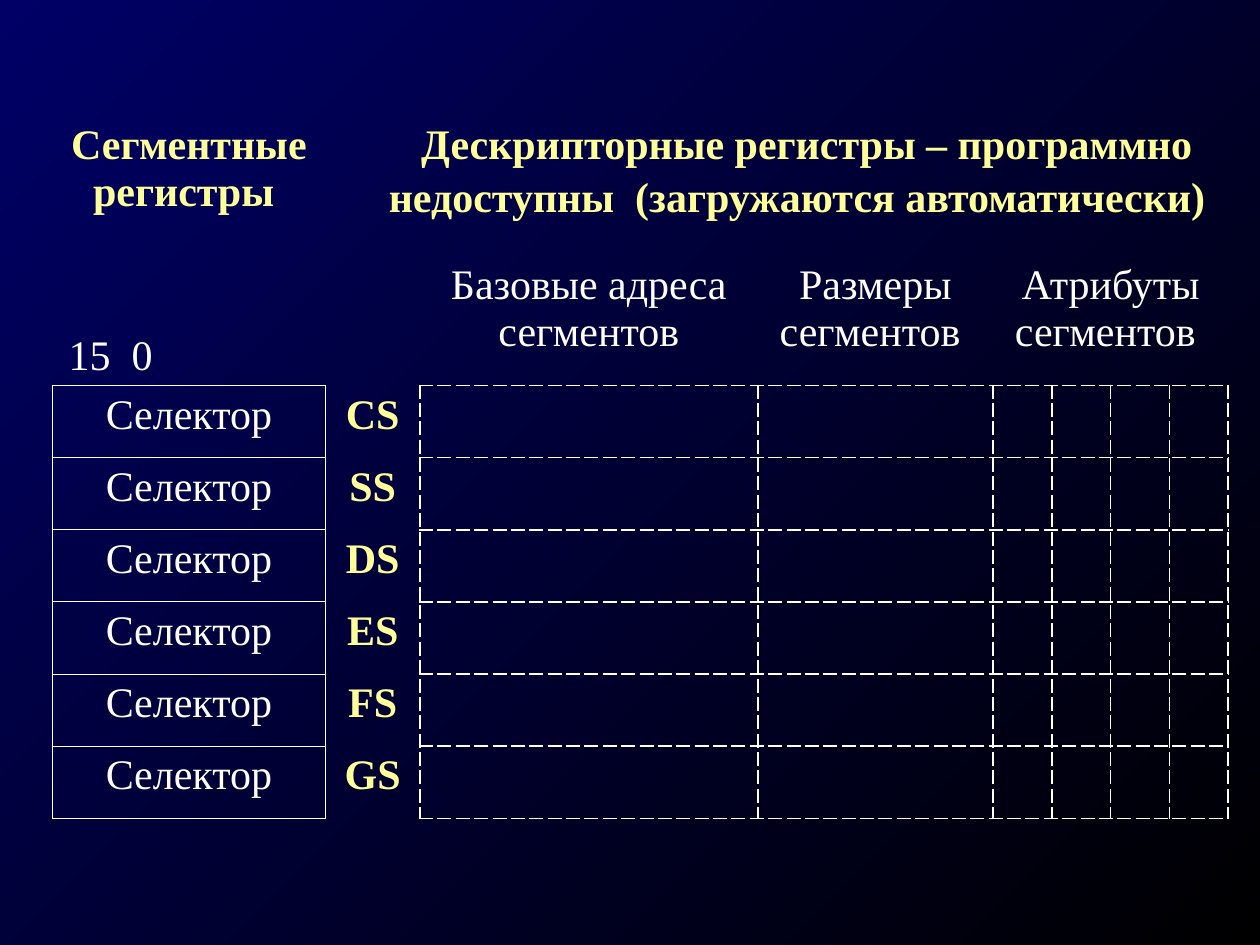
from lxml.etree import SubElement
from pptx import Presentation
from pptx.dml.color import RGBColor
from pptx.enum.text import MSO_ANCHOR as ANCHOR, PP_ALIGN as ALIGN
from pptx.oxml.ns import qn
from pptx.util import Pt

WHITE, YELLOW = "FFFFFF", "FFFF99"
SOLID, DASHED = (0.75, "solid"), (1.08, "dash")
REGISTERS = ["CS", "SS", "DS", "ES", "FS", "GS"]
COLUMNS = [156, 54, 193, 134.5] + [33.6] * 4
ROWS = [80, 74] + [41.25] * len(REGISTERS)
FIRST = 2


def rgb(value):
    """Turn a hex string into a colour."""
    return RGBColor.from_string(value)


def write(p, text, color=WHITE, bold=False, align=ALIGN.CENTER, before=6):
    """Write one run into a paragraph and format both."""
    p.alignment = align
    p.space_before = Pt(before)
    r = p.add_run()
    r.text = text
    r.font.name = "Times New Roman"
    r.font.size = Pt(24)
    r.font.bold = bold
    r.font.color.rgb = rgb(color)


def indent(p, left, right_tab=None):
    """Indent a paragraph and give it a right-aligned tab stop if wanted."""
    pPr = p._p.get_or_add_pPr()
    pPr.set("marL", str(Pt(left)))
    pPr.set("indent", "0")
    if right_tab:
        tabs = SubElement(pPr, qn("a:tabLst"))
        SubElement(tabs, qn("a:tab"), pos=str(Pt(right_tab)), algn="r")


def cell_borders(row, col):
    """Return the line style of the left, right, top and bottom sides."""
    if row < FIRST:
        below = SOLID if col == 0 else DASHED if col > 1 else None
        return None, None, None, below if row == FIRST - 1 else None
    if col == 0:
        return (SOLID,) * 4
    if col == 1:
        return SOLID, DASHED, None, None
    return (DASHED,) * 4


def set_borders(cell, styles):
    """Draw the four sides of a cell, leaving out those without a style."""
    tcPr = cell._tc.get_or_add_tcPr()
    for side, style in zip("LRTB", styles):
        ln = SubElement(tcPr, qn(f"a:ln{side}"))
        if style is None:
            SubElement(ln, qn("a:noFill"))
            continue
        width, dash = style
        ln.set("w", str(Pt(width)))
        fill = SubElement(ln, qn("a:solidFill"))
        SubElement(fill, qn("a:srgbClr"), val=WHITE)
        SubElement(ln, qn("a:prstDash"), val=dash)


def add_grid(slide, left, top):
    """Add the table with its borders and merged headings."""
    frame = slide.shapes.add_table(
        len(ROWS), len(COLUMNS), Pt(left), Pt(top), Pt(sum(COLUMNS)), Pt(sum(ROWS)))
    table = frame.table
    table.first_row = table.horz_banding = False
    for column, width in zip(table.columns, COLUMNS):
        column.width = Pt(width)
    for row, height in zip(table.rows, ROWS):
        row.height = Pt(height)
    for row in range(len(ROWS)):
        for col in range(len(COLUMNS)):
            cell = table.cell(row, col)
            set_borders(cell, cell_borders(row, col))
            cell.fill.background()
    table.cell(0, 1).merge(table.cell(0, 7))
    table.cell(1, 4).merge(table.cell(1, 7))
    return table


def fill_headings(table):
    """Write the two heading rows."""
    write(table.cell(0, 0).text_frame.paragraphs[0], "Сегментные регистры ", YELLOW, True)
    tf = table.cell(0, 1).text_frame
    lines = [("Дескрипторные регистры – программно", 47.5, 0),
             ("недоступны  (загружаются автоматически)", 29, 3.5)]
    for i, (text, left, before) in enumerate(lines):
        p = tf.add_paragraph() if i else tf.paragraphs[0]
        write(p, text, YELLOW, True, ALIGN.LEFT, before)
        indent(p, left)

    bits = table.cell(1, 0)
    bits.vertical_anchor = ANCHOR.BOTTOM
    p = bits.text_frame.paragraphs[0]
    write(p, "15\t0", align=ALIGN.LEFT)
    indent(p, 2, 139)
    names = ["Базовые адреса сегментов", "Размеры сегментов ", "Атрибуты сегментов "]
    for col, name in enumerate(names, 2):
        write(table.cell(1, col).text_frame.paragraphs[0], name)


def fill_registers(table):
    """Write the selector and the name of each segment register."""
    for row, name in enumerate(REGISTERS, FIRST):
        write(table.cell(row, 0).text_frame.paragraphs[0], "Селектор")
        write(table.cell(row, 1).text_frame.paragraphs[0], name, YELLOW, True)


def paint_background(slide):
    """Fill the slide with a diagonal gradient."""
    fill = slide.background.fill
    fill.gradient()
    fill.gradient_angle = 315
    for stop, position, color in zip(fill.gradient_stops, (0, 1), ("000066", "000000")):
        stop.position = position
        stop.color.rgb = rgb(color)


def main():
    """Build the slide and save it."""
    prs = Presentation()
    prs.slide_width, prs.slide_height = Pt(720), Pt(540)
    slide = prs.slides.add_slide(prs.slide_layouts[6])
    paint_background(slide)
    table = add_grid(slide, 30, 66.25)
    fill_headings(table)
    fill_registers(table)
    prs.save("out.pptx")


if __name__ == "__main__":
    main()
